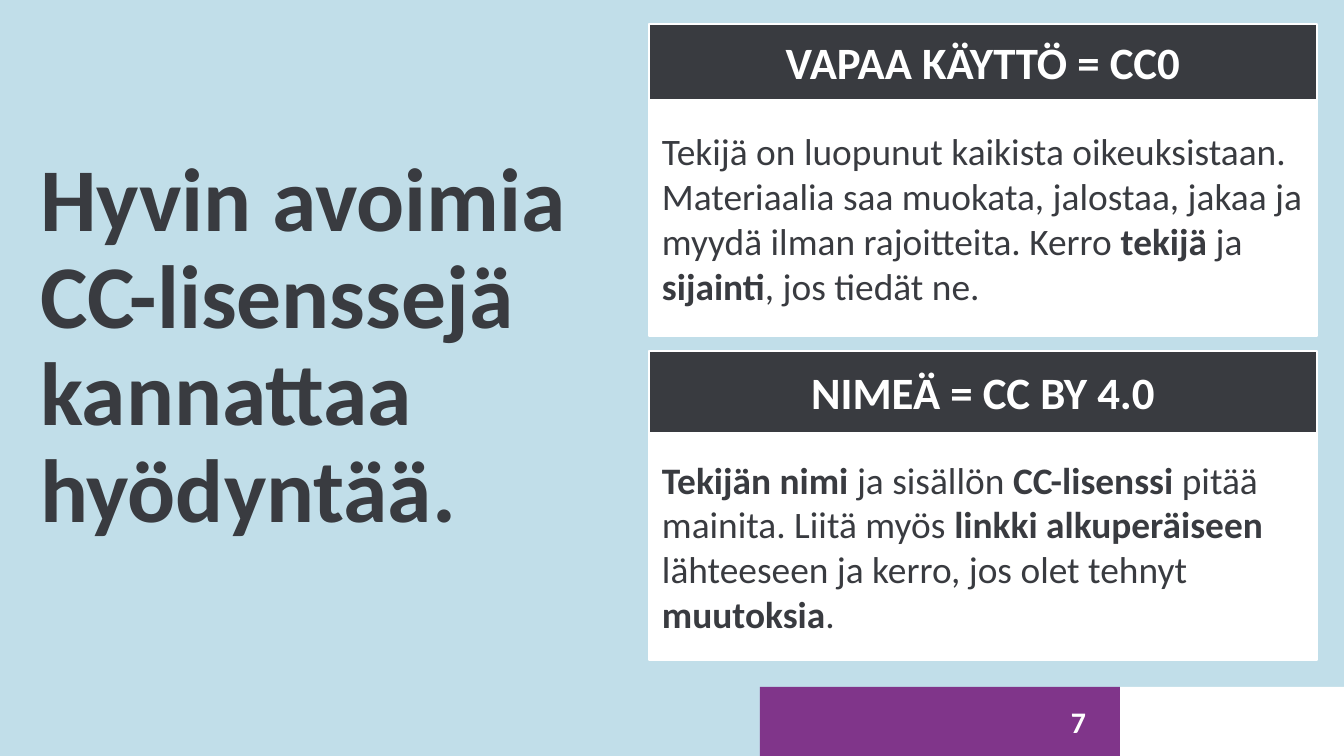
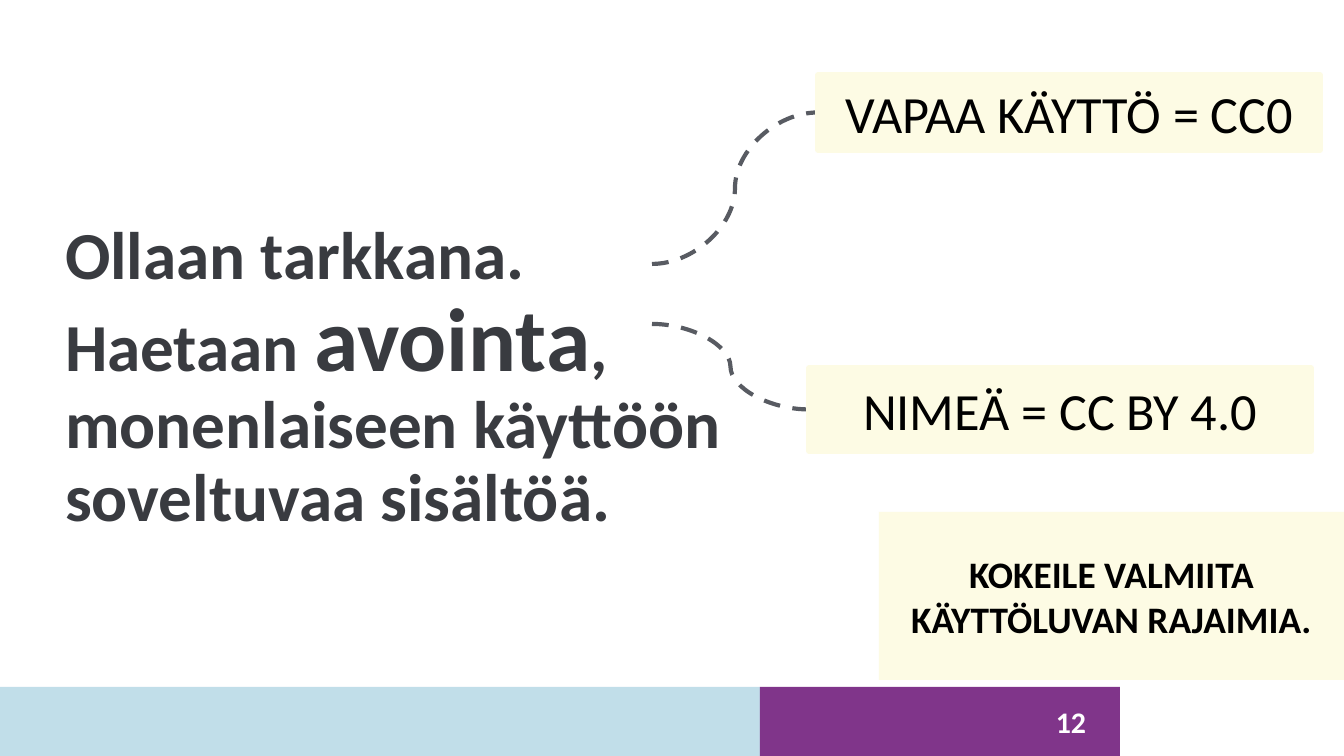
from lxml.etree import SubElement
from pptx import Presentation
from pptx.dml.color import RGBColor
from pptx.enum.dml import MSO_LINE
from pptx.enum.shapes import MSO_CONNECTOR, MSO_SHAPE
from pptx.enum.text import MSO_ANCHOR, PP_ALIGN
from pptx.oxml.ns import qn
from pptx.util import Pt

PX = 914400 / 134.4
WIDE, HIGH = 1344, 756
FONT = "Calibri"
PAD = 13
COLORS = {
    "dark": "393B40", "white": "FFFFFF", "black": "000000", "sky": "C1DEE9",
    "plum": "80358A", "cream": "FDFBE4", "gray": "585B62",
}


def px(*nums):
    return [round(n * PX) for n in nums]


def color(name):
    return RGBColor.from_string(COLORS[name])


def write(shape, text, size=20, ink="dark", bold=False, align=PP_ALIGN.LEFT,
          gap=None, accent=None):
    """Fill a shape with text; parts between asterisks take the accent format."""
    frame = shape.text_frame
    frame.word_wrap = True
    frame.vertical_anchor = MSO_ANCHOR.MIDDLE
    frame.margin_left, frame.margin_right, frame.margin_top, frame.margin_bottom = px(*[PAD] * 4)
    for row, line in enumerate(text.split("\n")):
        para = frame.add_paragraph() if row else frame.paragraphs[0]
        para.alignment = align
        if gap:
            para.line_spacing = gap
        for turn, part in enumerate(line.split("*")):
            if not part:
                continue
            look = {"size": size, "bold": bold}
            if turn % 2:
                look.update(accent or {"bold": True})
            run = para.add_run()
            run.text = part
            run.font.name = FONT
            run.font.size = Pt(look["size"])
            run.font.bold = look["bold"]
            run.font.color.rgb = color(ink)


def block(slide, box, fill, edge=None, width=1):
    shape = slide.shapes.add_shape(MSO_SHAPE.RECTANGLE, *px(*box))
    shape.shadow.inherit = False
    shape.fill.solid()
    shape.fill.fore_color.rgb = color(fill)
    if edge:
        shape.line.color.rgb = color(edge)
        shape.line.width = Pt(width)
    else:
        shape.line.fill.background()
    return shape


def label(slide, box, text, **look):
    write(slide.shapes.add_textbox(*px(*box)), text, **look)


def title(slide, box, text, **look):
    label(slide, box, text, bold=True, gap=0.9, **look)


def footer(slide, box, number):
    left, top, _, high = box
    for fill, wide in (("sky", 760), ("plum", 360), ("white", 224)):
        block(slide, (left, top, wide, high), fill)
        left += wide
    label(slide, (box[0] + 1036, top + 13, 63, 43), str(number), size=16,
          ink="white", bold=True, align=PP_ALIGN.RIGHT)


def start(deck, fill, number):
    """Add a blank slide with its background and footer."""
    slide = deck.slides.add_slide(deck.slide_layouts[6])
    slide.background.fill.solid()
    slide.background.fill.fore_color.rgb = color(fill)
    footer(slide, (0, 687, WIDE, HIGH - 687), number)
    return slide


def card(slide, box, head, name, text):
    """Place a dark heading of height head above a white text panel."""
    left, top, wide, high = box
    bar = block(slide, (left, top, wide, head), "dark", "white")
    write(bar, name, size=24, ink="white", bold=True, align=PP_ALIGN.CENTER)
    panel = block(slide, (left, top + head, wide, high - head), "white", "white")
    write(panel, text)


def tag(slide, box, text, start):
    """Place a licence tag and a dashed curve that leads to it."""
    left, top, _, high = box
    curve = slide.shapes.add_connector(
        MSO_CONNECTOR.CURVE, *px(*start, left, top + high / 2))
    curve.line.color.rgb = color("gray")
    curve.line.width = Pt(2.25)
    curve.line.dash_style = MSO_LINE.DASH
    SubElement(curve.element.spPr, qn("a:effectLst"))
    shape = block(slide, box, "cream", "cream", 3)
    write(shape, text, size=28, ink="black", align=PP_ALIGN.CENTER)
    curve.end_connect(shape, 1)


FREE = "VAPAA KÄYTTÖ = CC0"
NAMED = "NIMEÄ = CC BY 4.0"


def licences(deck):
    slide = start(deck, "sky", 7)
    title(slide, (27, 30, 624, 636),
          "Hyvin avoimia\nCC-lisenssejä kannattaa hyödyntää.", size=48)
    card(slide, (649, 24, 668, 312), 76, FREE,
         "Tekijä on luopunut kaikista oikeuksistaan. Materiaalia saa muokata, "
         "jalostaa, jakaa ja myydä ilman rajoitteita. Kerro* tekijä *ja* sijainti*"
         ", jos tiedät ne.")
    card(slide, (649, 351, 668, 309), 82, NAMED,
         "*Tekijän nimi* ja sisällön *CC-lisenssi* pitää mainita. Liitä myös "
         "*linkki alkuperäiseen* lähteeseen ja kerro, jos olet tehnyt *muutoksia*.")


def search(deck):
    slide = start(deck, "white", 12)
    title(slide, (52, 78, 856, 601),
          "Ollaan tarkkana.\nHaetaan *avointa*,\n"
          "monenlaiseen käyttöön soveltuvaa sisältöä.",
          size=36, accent={"size": 48})
    tag(slide, (818, 75, 502, 75), FREE, (652, 264))
    tag(slide, (809, 368, 502, 83), NAMED, (652, 324))
    note = block(slide, (879, 512, 465, 168), "cream")
    write(note, "KOKEILE VALMIITA KÄYTTÖLUVAN RAJAIMIA.", ink="black",
          bold=True, align=PP_ALIGN.CENTER)


def main():
    deck = Presentation()
    deck.slide_width, deck.slide_height = px(WIDE, HIGH)
    licences(deck)
    search(deck)
    deck.save("out.pptx")


if __name__ == "__main__":
    main()
